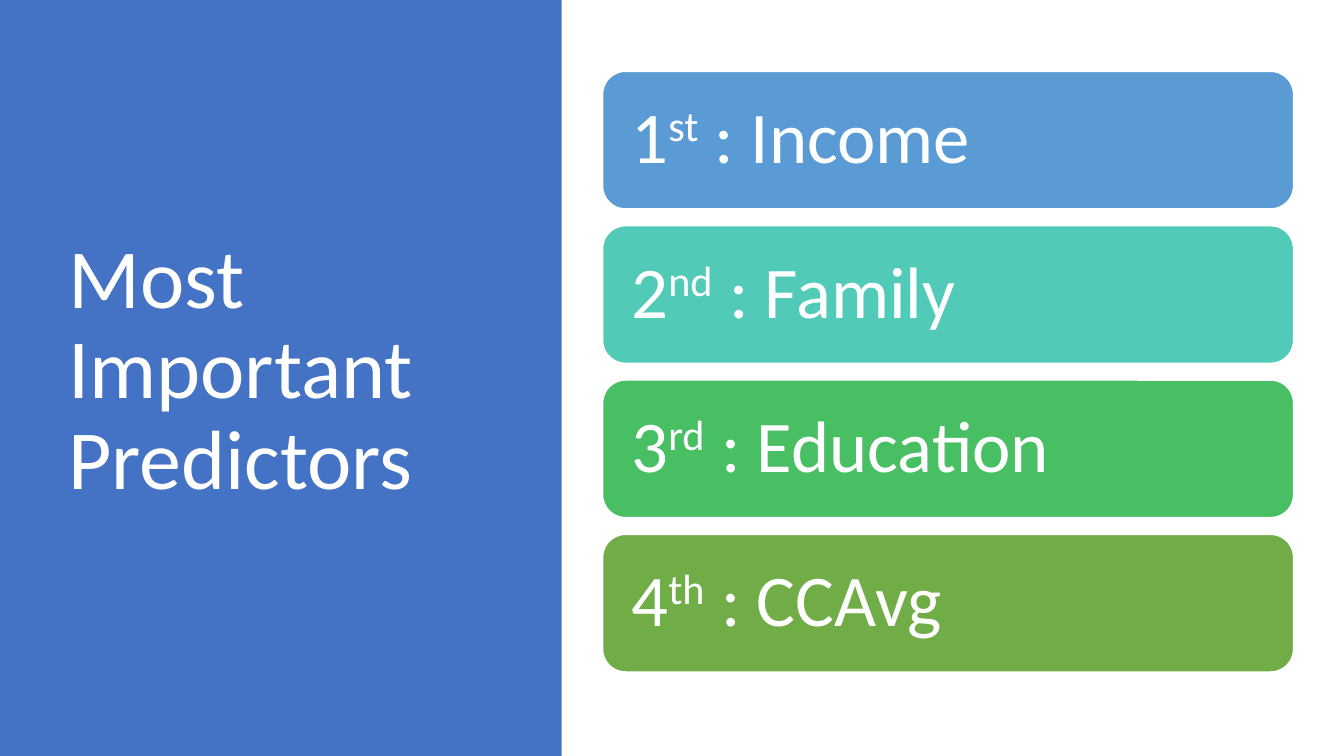
from pptx import Presentation
from pptx.dml.color import RGBColor
from pptx.enum import shapes, text
from pptx.util import Emu, Pt

PX = 9525
COLOURS = {
    "panel": "4472C4",
    "white": "FFFFFF",
    "income": "5B9BD5",
    "family": "52CAB8",
    "education": "49BF64",
    "average": "70AD47",
}
PREDICTORS = [
    ("1", "st", "Income", "income"),
    ("2", "nd", "Family", "family"),
    ("3", "rd", "Education", "education"),
    ("4", "th", "CCAvg", "average"),
]
BAR_TOP, BAR_STEP = 68, 147


def px(*lengths):
    return [Emu(length * PX) for length in lengths]


def colour(name):
    return RGBColor.from_string(COLOURS[name])


def add_block(page, preset, place, fill, line=None):
    block = page.shapes.add_shape(preset, *px(*place))
    block.shadow.inherit = False
    block.fill.solid()
    block.fill.fore_color.rgb = colour(fill)
    if line:
        block.line.color.rgb = colour(line)
        block.line.width = Pt(1)
    else:
        block.line.fill.background()
    return block


def set_frame(box, across, down):
    frame = box.text_frame
    frame.word_wrap = True
    frame.vertical_anchor = text.MSO_ANCHOR.MIDDLE
    frame.margin_left, frame.margin_right = px(across, across)
    frame.margin_top, frame.margin_bottom = px(down, down)
    para = frame.paragraphs[0]
    para.alignment = text.PP_ALIGN.LEFT
    para.line_spacing = 0.9
    return para


def add_span(para, words, size, raised=False):
    span = para.add_run()
    span.text = words
    span.font.name = "Calibri"
    span.font.size = Pt(size)
    span.font.color.rgb = colour("white")
    if raised:
        span.font._element.set("baseline", "30000")


def add_title(page, words):
    box = page.shapes.add_textbox(*px(55, 65, 399, 578))
    add_span(set_frame(box, across=10, down=5), words, size=60)


def add_predictor(page, top, number, suffix, name, fill):
    bar = add_block(page, shapes.MSO_SHAPE.ROUNDED_RECTANGLE,
                    (574, top, 658, 131), fill, line="white")
    para = set_frame(bar, across=21, down=21)
    add_span(para, number, size=52)
    add_span(para, suffix, size=52, raised=True)
    add_span(para, f" : {name}", size=52)


def main():
    deck = Presentation()
    deck.slide_width, deck.slide_height = px(1280, 720)
    page = deck.slides.add_slide(deck.slide_layouts[6])
    add_block(page, shapes.MSO_SHAPE.RECTANGLE, (0, 0, 535, 720), "panel")
    add_title(page, "Most Important Predictors")
    for index, predictor in enumerate(PREDICTORS):
        add_predictor(page, BAR_TOP + index * BAR_STEP, *predictor)
    deck.save("out.pptx")


if __name__ == "__main__":
    main()
